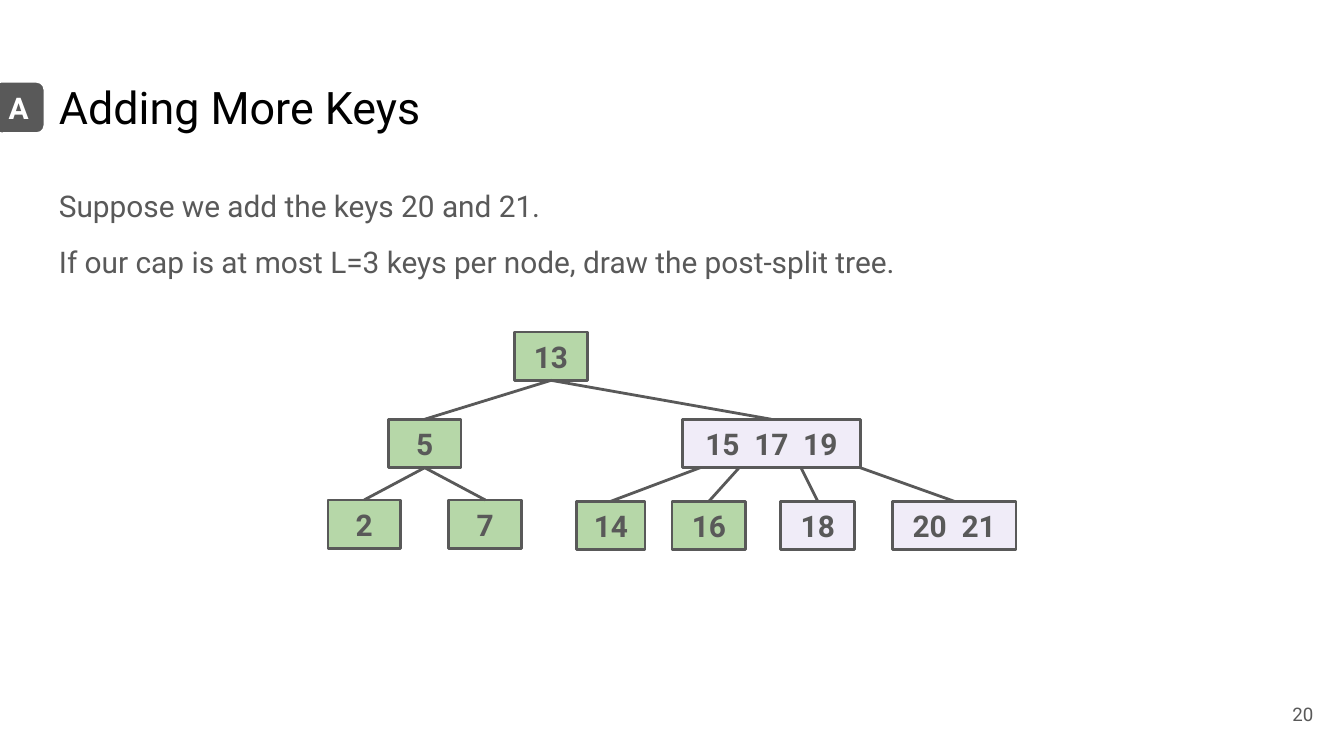
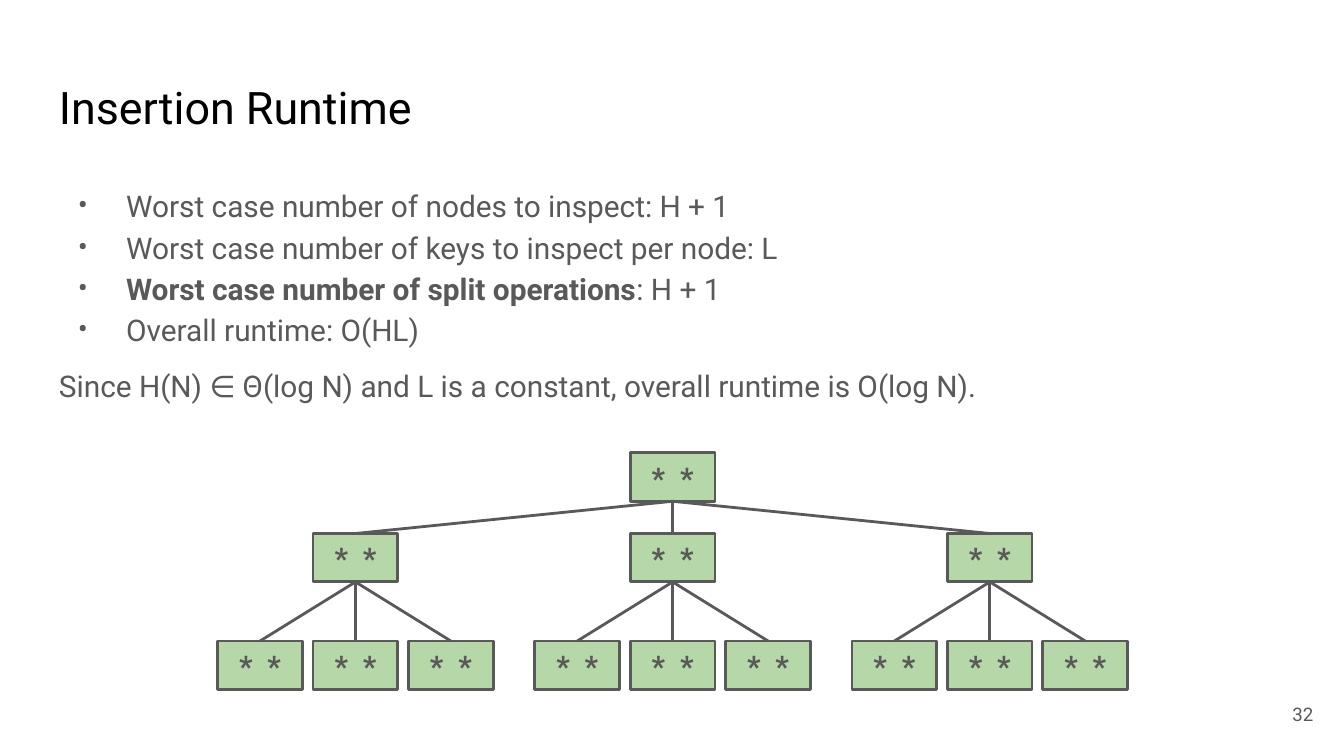
"""Builds two slides on B-tree insertion."""
from lxml.etree import SubElement
from pptx import Presentation
from pptx.dml.color import RGBColor
from pptx.enum.shapes import MSO_CONNECTOR, MSO_SHAPE
from pptx.enum.text import MSO_ANCHOR, PP_ALIGN
from pptx.oxml.ns import qn
from pptx.util import Inches, Pt

BLACK = RGBColor(0x00, 0x00, 0x00)
GRAY = RGBColor(0x59, 0x59, 0x59)
GREEN = RGBColor(0xB6, 0xD7, 0xA8)
LILAC = RGBColor(0xF0, 0xEC, 0xF8)
WHITE = RGBColor(0xFF, 0xFF, 0xFF)
FONT = "Roboto"
NODE_H = 0.36
TOP, BOTTOM = 0, 2


def style(par, size, color, bold=False, align=PP_ALIGN.LEFT):
    """Format every run of a paragraph."""
    par.alignment = align
    for run in par.runs:
        run.font.name = FONT
        run.font.size = Pt(size)
        run.font.bold = bold
        run.font.color.rgb = color


def set_frame(frame, anchor):
    """Give a text frame its margins, wrapping and anchor."""
    frame.word_wrap = True
    frame.vertical_anchor = anchor
    frame.margin_left = frame.margin_right = Inches(0.1)
    frame.margin_top = frame.margin_bottom = Inches(0.1)


def add_text(slide, box, anchor=MSO_ANCHOR.TOP):
    """Add an empty text box and return its frame."""
    frame = slide.shapes.add_textbox(*map(Inches, box)).text_frame
    set_frame(frame, anchor)
    return frame


def add_label(slide, kind, box, text, fill, line, width, color):
    """Add a filled shape with bold centred text."""
    shape = slide.shapes.add_shape(kind, *map(Inches, box))
    shape.shadow.inherit = False
    shape.fill.solid()
    shape.fill.fore_color.rgb = fill
    shape.line.color.rgb = line
    shape.line.width = Pt(width)
    set_frame(shape.text_frame, MSO_ANCHOR.MIDDLE)
    shape.text_frame.text = text
    style(shape.text_frame.paragraphs[0], 16, color, True, PP_ALIGN.CENTER)
    return shape


def add_node(slide, left, top, width, text, fill=GREEN):
    """Add one tree node."""
    return add_label(slide, MSO_SHAPE.RECTANGLE, (left, top, width, NODE_H),
                     text, fill, GRAY, 1.5, GRAY)


def add_edge(slide, upper, lower, start=None):
    """Link two nodes, from a given start point or the upper one's middle."""
    x, y = map(Inches, start or (0, 0))
    edge = slide.shapes.add_connector(MSO_CONNECTOR.STRAIGHT, x, y, x, y)
    if start is None:
        edge.begin_connect(upper, BOTTOM)
    edge.end_connect(lower, TOP)
    edge.line.color.rgb = GRAY
    edge.line.width = Pt(1.5)
    SubElement(edge._element.spPr, qn("a:effectLst"))


def add_base(deck, title, number):
    """Add a slide with its title and page number."""
    slide = deck.slides.add_slide(deck.slide_layouts[6])
    head = add_text(slide, (0.34, 0.49, 9.32, 0.63))
    head.text = title
    style(head.paragraphs[0], 24, BLACK)
    foot = add_text(slide, (9.27, 5.1, 0.6, 0.43), MSO_ANCHOR.MIDDLE)
    foot.text = str(number)
    style(foot.paragraphs[0], 10, GRAY, align=PP_ALIGN.RIGHT)
    return slide


def add_bullet(par):
    """Indent a paragraph and give it a bullet."""
    props = par._p.get_or_add_pPr()
    props.set("marL", str(Inches(0.5)))
    props.set("indent", str(Inches(-0.36)))
    color = SubElement(props, qn("a:buClr"))
    SubElement(color, qn("a:srgbClr"), val=str(GRAY))
    SubElement(props, qn("a:buFont"), typeface=FONT)
    SubElement(props, qn("a:buChar"), char="•")


def add_body(slide, box, lines, last, bullets=False, strong=""):
    """Add body lines and a spaced last line, with one strong lead."""
    frame = add_text(slide, box)
    for i, line in enumerate([*lines, last]):
        par = frame.paragraphs[0] if i == 0 else frame.add_paragraph()
        final = i == len(lines)
        if bullets and not final:
            add_bullet(par)
        lead = strong if strong and line.startswith(strong) else ""
        par.text = lead or line
        if lead:
            par.add_run().text = line[len(lead):]
        par.line_spacing = 1.15
        if final:
            par.space_before = par.space_after = Pt(8)
        style(par, 16, GRAY)
        if lead:
            par.runs[0].font.bold = True


def add_badge(slide, left, top, text):
    """Add the lettered tab at the slide's edge."""
    add_label(slide, MSO_SHAPE.ROUNDED_RECTANGLE, (left, top, 0.4, 0.4),
              text, GRAY, WHITE, 2.25, WHITE)


def draw_split(slide, left, top):
    """Draw the tree with the overfull branch on the right."""
    mid, low = top + 0.65, top + 1.25
    root = add_node(slide, left + 1.39, top, 0.54, "13")
    five = add_node(slide, left + 0.45, mid, 0.54, "5")
    full = add_node(slide, left + 2.64, mid, 1.32, "15  17  19", LILAC)
    for child in (five, full):
        add_edge(slide, root, child)
    for i, key in enumerate("27"):
        add_edge(slide, five, add_node(slide, left + 0.9 * i, low, 0.54, key))
    leaves = [
        (1.85, 0.51, "14", GREEN, 2.77),
        (2.56, 0.55, "16", GREEN, 3.06),
        (3.37, 0.55, "18", LILAC, 3.52),
        (4.2, 0.92, "20  21", LILAC, 3.96),
    ]
    for x, width, keys, fill, start in leaves:
        leaf = add_node(slide, left + x, low + 0.01, width, keys, fill)
        add_edge(slide, full, leaf, (left + start, mid + NODE_H))


def draw_full(slide, left, top):
    """Draw a tree of three branches with three leaves each."""
    width, step, gap, keys = 0.63, 0.71, 2.36, "*  *"
    root = add_node(slide, left + step + gap, top, width, keys)
    for i in range(3):
        x = left + gap * i
        branch = add_node(slide, x + step, top + 0.6, width, keys)
        add_edge(slide, root, branch)
        for j in range(3):
            leaf = add_node(slide, x + step * j, top + 1.4, width, keys)
            add_edge(slide, branch, leaf)


def add_keys(deck):
    """Build the slide on adding keys."""
    slide = add_base(deck, "Adding More Keys", 20)
    add_body(slide, (0.34, 1.26, 9.32, 0.9),
             ["Suppose we add the keys 20 and 21."],
             "If our cap is at most L=3 keys per node, draw the post-split tree.")
    add_badge(slide, -0.06, 0.6, "A")
    draw_split(slide, 2.44, 2.47)


def add_cost(deck):
    """Build the slide on insertion runtime."""
    slide = add_base(deck, "Insertion Runtime", 32)
    lines = [
        "Worst case number of nodes to inspect: H + 1",
        "Worst case number of keys to inspect per node: L",
        "Worst case number of split operations: H + 1",
        "Overall runtime: O(HL)",
    ]
    add_body(slide, (0.34, 1.26, 9.32, 1.5), lines,
             "Since H(N) ∈ Θ(log N) and L is a constant, overall runtime is O(log N).",
             bullets=True, strong="Worst case number of split operations")
    draw_full(slide, 1.62, 3.37)


def main():
    """Build and save the deck."""
    deck = Presentation()
    deck.slide_width = Inches(10)
    deck.slide_height = Inches(10) * 9 // 16
    add_keys(deck)
    add_cost(deck)
    deck.save("out.pptx")


if __name__ == "__main__":
    main()
